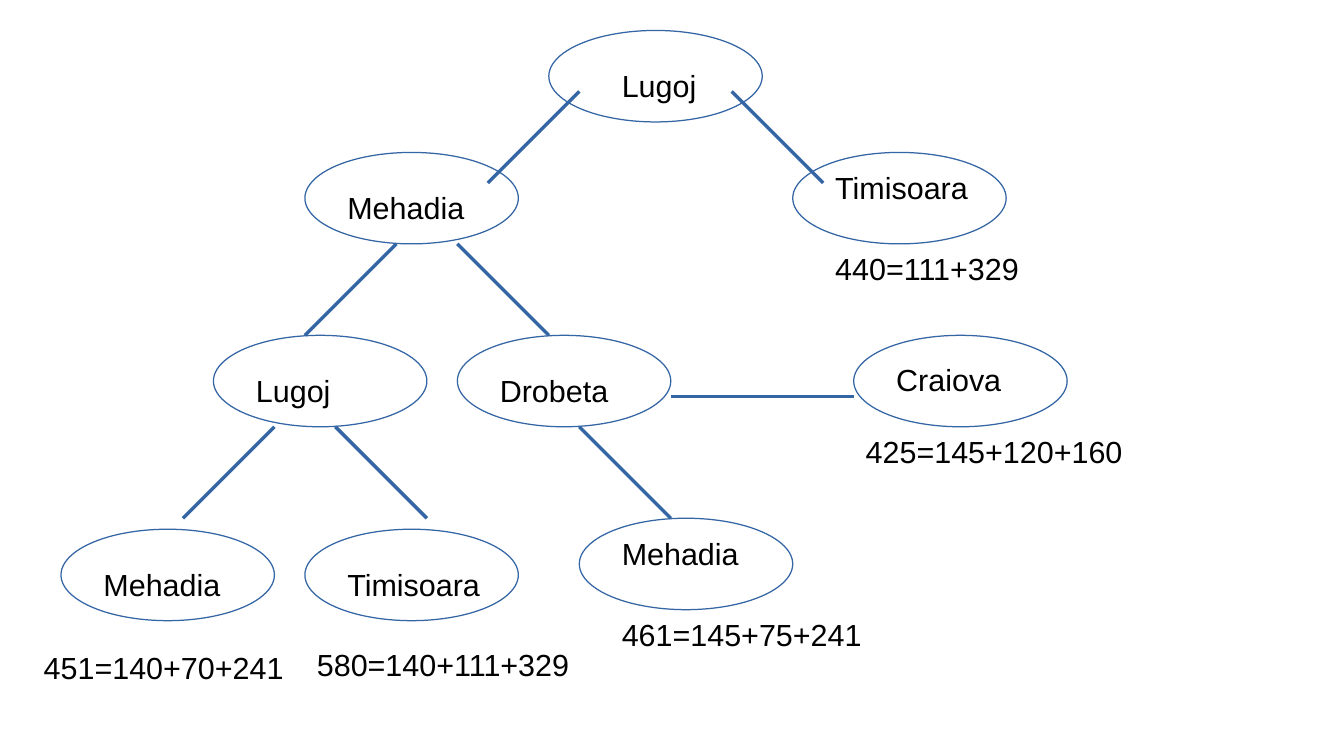
from pptx import Presentation
from pptx.dml.color import RGBColor
from pptx.enum.shapes import MSO_CONNECTOR, MSO_SHAPE
from pptx.oxml import parse_xml
from pptx.oxml.ns import nsdecls
from pptx.util import Inches, Pt

# Content, in grid cells of a quarter inch
CELL = 0.25
WIDE, TALL = 7, 3  # size of a city oval
BLUE, BLACK = "3465A4", "000000"

# city, column, row, name shift right, name shift down, name width
CITIES = [
    ("Lugoj", 18, 1, 2, 1, 4),
    ("Timisoara", 26, 5, 1, 0.36, 6),
    ("Mehadia", 10, 5, 1, 1, 5),
    ("Lugoj", 7, 11, 1, 1, 5),
    ("Drobeta", 15, 11, 1, 1, 5),
    ("Craiova", 28, 11, 1, 0.64, 5),
    ("Mehadia", 2, 17.36, 1, 1, 5),
    ("Timisoara", 10, 17.36, 1, 1, 6),
    ("Mehadia", 19, 17, 1, 0.36, 5),
]

# sum, column, row, width
COSTS = [
    ("440=111+329", 27, 8, 7),
    ("425=145+120+160", 28, 14, 10),
    ("461=145+75+241", 20, 20, 10),
    ("580=140+111+329", 10, 21, 10),
    ("451=140+70+241", 1.04, 21.08, 9),
]

# start column, start row, columns across, rows down
ROADS = [
    (24, 3, 3, 3),
    (19, 3, -3, 3),
    (13, 8, -3, 3),
    (15, 8, 3, 3),
    (9, 14, -3, 3),
    (11, 14, 3, 3),
    (19, 14, 3, 3),
    (28, 13, -6, 0),
]


def grid(*cells):
    return [Inches(n * CELL) for n in cells]


def color(code):
    return RGBColor.from_string(code)


def write(text, col, row, wide, size=18, font="Arial", ink=BLACK):
    box = slide.shapes.add_textbox(*grid(col, row, wide, 2.64))
    box.text_frame.word_wrap = True
    run = box.text_frame.paragraphs[0].add_run()
    run.text = text
    run.font.size = Pt(size)
    run.font.name = font
    run.font.color.rgb = color(ink)


def stroke(line):
    line.color.rgb = color(BLUE)
    line.width = Pt(0)


deck = Presentation()
deck.slide_width, deck.slide_height = Inches(11.02), Inches(6.2)
slide = deck.slides.add_slide(deck.slide_layouts[6])

# City ovals with their names
for name, col, row, right, down, wide in CITIES:
    oval = slide.shapes.add_shape(MSO_SHAPE.OVAL, *grid(col, row, WIDE, TALL))
    oval.shadow.inherit = False
    oval.fill.background()
    stroke(oval.line)
    write(name, col + right, row + down, wide)

# Roads between cities
for col, row, across, down in ROADS:
    ends = grid(col, row, col + across, row + down)
    road = slide.shapes.add_connector(MSO_CONNECTOR.STRAIGHT, *ends)
    stroke(road.line)
    road._element.spPr.append(parse_xml(f"<a:effectLst {nsdecls('a')}/>"))

# Path costs
for cost in COSTS:
    write(*cost)

deck.save("out.pptx")
